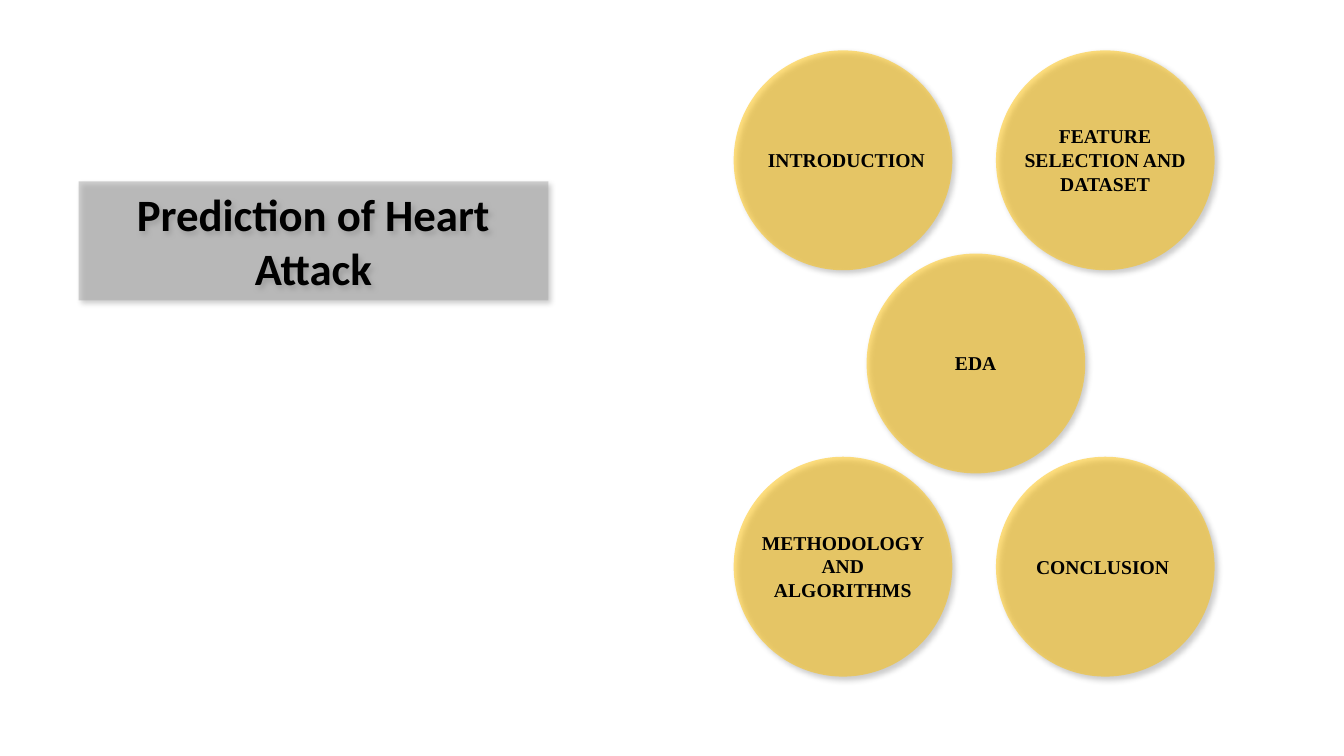
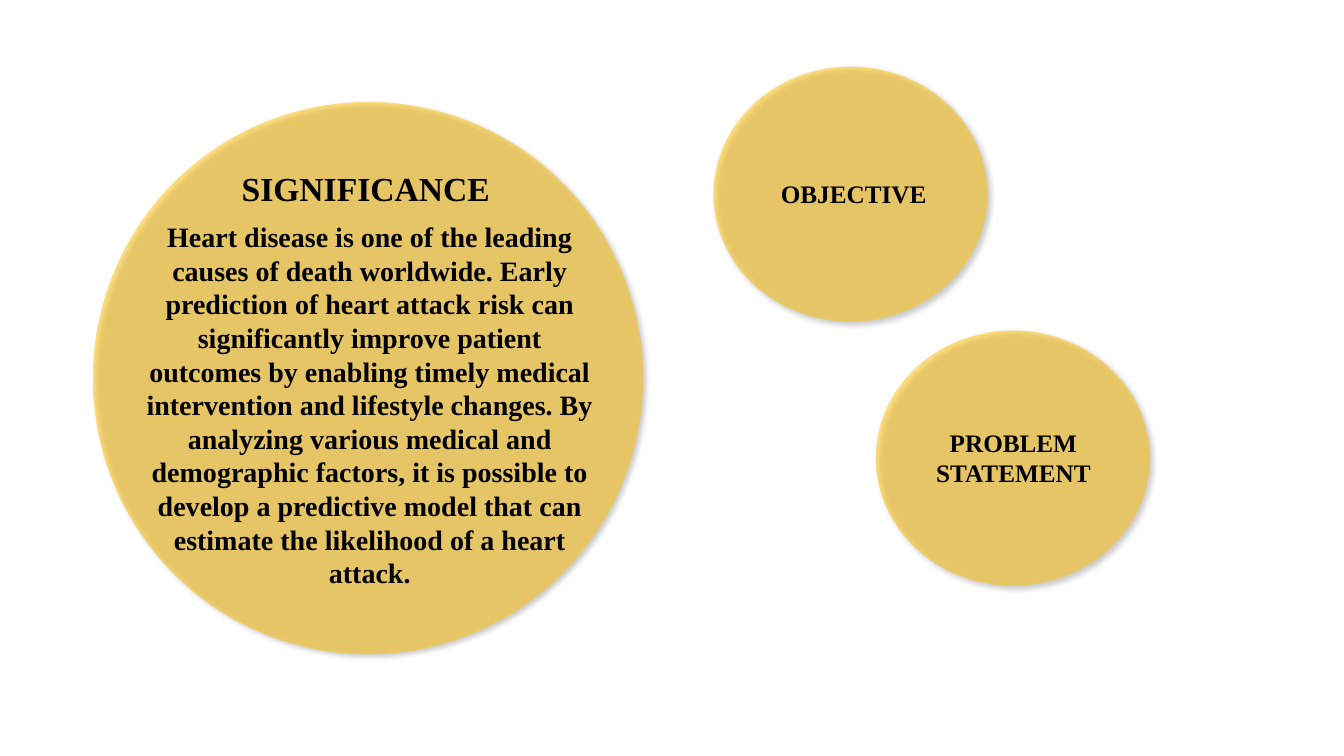
from lxml.etree import SubElement
from pptx import Presentation
from pptx.dml.color import RGBColor
from pptx.enum.shapes import MSO_SHAPE as Preset
from pptx.enum.text import MSO_ANCHOR as Anchor, MSO_AUTO_SIZE as AutoSize, PP_ALIGN as Align
from pptx.oxml.ns import qn
from pptx.util import Cm, Pt

GOLD = "FFC000"
GRAY = "A5A5A5"
BLACK = "000000"
SERIF = "Times New Roman"


def add_panel(slide, preset, left, top, width, height, color):
    shape = slide.shapes.add_shape(preset, Cm(left), Cm(top), Cm(width), Cm(height))
    shape.fill.solid()
    shape.fill.fore_color.rgb = RGBColor.from_string(color)
    fill_color = next(shape.fill._xPr.iter(qn("a:srgbClr")))
    SubElement(fill_color, qn("a:alpha"), val="50000")
    shape.line.fill.background()
    shape.shadow.inherit = False
    effects = shape._element.spPr.find(qn("a:effectLst"))
    shadow = SubElement(effects, qn("a:outerShdw"), blurRad=str(Pt(4)), dist=str(Pt(3)),
                        dir="2700000", algn="tl", rotWithShape="0")
    shadow_color = SubElement(shadow, qn("a:srgbClr"), val=BLACK)
    SubElement(shadow_color, qn("a:alpha"), val="40000")
    return shape


def write_text(shape, text, size, font=SERIF, align=Align.CENTER, anchor=Anchor.TOP):
    frame = shape.text_frame
    frame.word_wrap = True
    frame.auto_size = AutoSize.SHAPE_TO_FIT_TEXT
    frame.vertical_anchor = anchor
    paragraph = frame.paragraphs[0]
    paragraph.alignment = align
    run = paragraph.add_run()
    run.text = text
    run.font.name = font
    run.font.size = Pt(size)
    run.font.bold = True
    run.font.color.rgb = RGBColor.from_string(BLACK)


presentation = Presentation()
presentation.slide_width = Cm(33.87)
presentation.slide_height = Cm(19.05)
blank = presentation.slide_layouts[6]

slide = presentation.slides.add_slide(blank)
title = add_panel(slide, Preset.RECTANGLE, 1.98, 4.57, 11.84, 3, GRAY)
write_text(title, "Prediction of Heart Attack", 32, "Calibri", anchor=Anchor.MIDDLE)

circle_width, circle_height = 5.51, 5.54
first_top, row_step = 1.27, 5.12
topics = [
    (18.49, 0, "INTRODUCTION", 0.86, 0.61, Align.LEFT),
    (25.1, 0, "FEATURE SELECTION AND DATASET", 2.06, 0.25, Align.CENTER),
    (21.84, 1, "EDA", 0.86, 0.25, Align.CENTER),
    (18.49, 2, "METHODOLOGY AND ALGORITHMS", 2.06, 0.25, Align.CENTER),
    (25.1, 2, "CONCLUSION ", 0.86, 0.25, Align.CENTER),
]
for left, row, text, height, indent, align in topics:
    top = first_top + row * row_step
    add_panel(slide, Preset.OVAL, left, top, circle_width, circle_height, GOLD)
    label_top = top + (circle_height - height) / 2
    label = slide.shapes.add_textbox(Cm(left + indent), Cm(label_top), Cm(5), Cm(height))
    write_text(label, text, 14, align=align)

slide = presentation.slides.add_slide(blank)
for left, top, width, height in [
    (22.07, 8.33, 6.91, 6.43),
    (17.98, 1.68, 6.91, 6.43),
    (2.34, 2.57, 13.87, 13.92),
]:
    add_panel(slide, Preset.OVAL, left, top, width, height, GOLD)

significance = (
    "Heart disease is one of the leading causes of death worldwide. "
    "Early prediction of heart attack risk can significantly improve patient outcomes "
    "by enabling timely medical intervention and lifestyle changes. "
    "By analyzing various medical and demographic factors, it is possible to develop "
    "a predictive model that can estimate the likelihood of a heart attack."
)
for left, top, width, height, text, size, align in [
    (5.84, 4.11, 7.77, 1.27, "SIGNIFICANCE", 24, Align.LEFT),
    (3.4, 5.41, 11.84, 9.65, significance, 20, Align.CENTER),
    (19.43, 4.37, 5.92, 1.02, "OBJECTIVE", 18, Align.LEFT),
    (22.58, 10.64, 5.92, 1.8, "PROBLEM STATEMENT", 18, Align.CENTER),
]:
    label = slide.shapes.add_textbox(Cm(left), Cm(top), Cm(width), Cm(height))
    write_text(label, text, size, align=align)

presentation.save("out.pptx")
